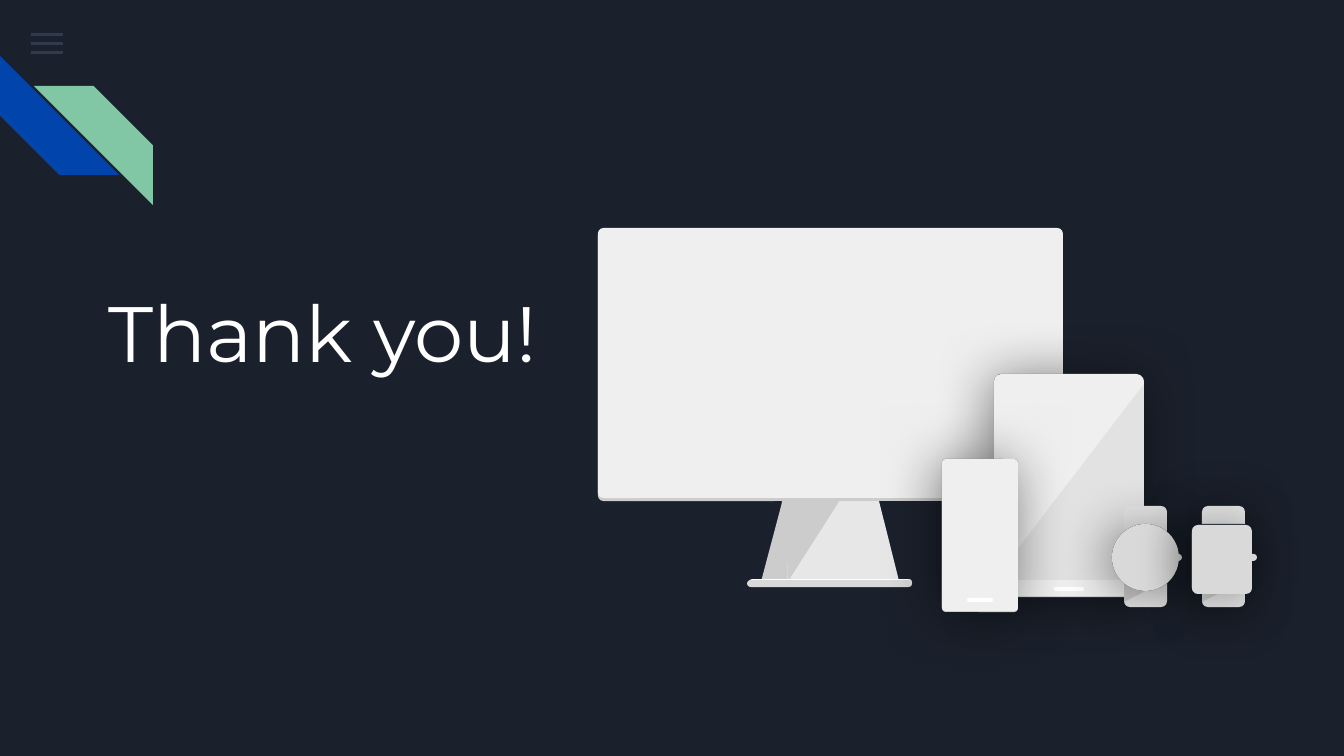
import lxml.etree
import pptx
import pptx.dml.color
import pptx.enum.shapes
import pptx.enum.text
import pptx.oxml.ns
import pptx.util

RGB = pptx.dml.color.RGBColor
SHAPE = pptx.enum.shapes.MSO_SHAPE
qn = pptx.oxml.ns.qn

NAVY = RGB(0x1B, 0x21, 0x2C)
SLATE = RGB(0x55, 0x68, 0x8B)
BLUE = RGB(0x01, 0x45, 0xAC)
GREEN = RGB(0x82, 0xC7, 0xA5)
WHITE = RGB(0xFF, 0xFF, 0xFF)
BLACK = RGB(0x00, 0x00, 0x00)
SCREEN = RGB(0xEF, 0xEF, 0xEF)
LIGHT = RGB(0xE7, 0xE7, 0xE7)
SILVER = RGB(0xD9, 0xD9, 0xD9)
EDGE = RGB(0xCC, 0xCC, 0xCC)
GRAY = RGB(0x99, 0x99, 0x99)

FONT = "Montserrat"
PX_PER_INCH = 134.4


def px(n):
    return round(n * 914400 / PX_PER_INCH)


def add_run(p, text, size=18, color=WHITE, font=FONT):
    r = p.add_run()
    r.text = text
    r.font.size = pptx.util.Pt(size)
    r.font.name = font
    r.font.color.rgb = color
    return r


class Canvas:
    def __init__(self, slide):
        self.slide = slide
        slide.background.fill.solid()
        slide.background.fill.fore_color.rgb = NAVY

    def shape(self, kind, x, y, w, h, color, adj=(), rot=0, flip=False, alpha=None, shadow=False):
        sp = self.slide.shapes.add_shape(kind, px(x), px(y), px(w), px(h))
        for i, value in enumerate(adj):
            sp.adjustments[i] = value
        sp.rotation = rot
        sp.fill.solid()
        sp.fill.fore_color.rgb = color
        sp.line.fill.background()
        sp.shadow.inherit = False
        props = sp._element.spPr
        if flip:
            props.find(qn("a:xfrm")).set("flipH", "1")
        if alpha is not None:
            self.set_alpha(props.find(".//" + qn("a:srgbClr")), alpha)
        if shadow:
            self.soft_shadow(props.find(qn("a:effectLst")))
        return sp

    def set_alpha(self, color, percent):
        lxml.etree.SubElement(color, qn("a:alpha"), val=str(percent * 1000))

    def soft_shadow(self, effects):
        outer = lxml.etree.SubElement(
            effects, qn("a:outerShdw"), blurRad=str(pptx.util.Pt(30.5)),
            dist=str(pptx.util.Pt(3)), dir=str(135 * 60000), algn="bl", rotWithShape="0")
        self.set_alpha(lxml.etree.SubElement(outer, qn("a:srgbClr"), val=str(BLACK)), 50)

    def rounded(self, x, y, w, h, color, radius=0.5, **fmt):
        return self.shape(SHAPE.ROUNDED_RECTANGLE, x, y, w, h, color, (radius,), **fmt)

    def title(self, x, y, w, h, text, **fmt):
        tf = self.slide.shapes.add_textbox(px(x), px(y), px(w), px(h)).text_frame
        tf.word_wrap = True
        tf.vertical_anchor = pptx.enum.text.MSO_ANCHOR.TOP
        tf.margin_left = tf.margin_right = tf.margin_top = tf.margin_bottom = pptx.util.Inches(0.1)
        add_run(tf.paragraphs[0], text, **fmt)

    def menu_icon(self, x, y):
        for i in range(3):
            self.shape(SHAPE.RECTANGLE, x, y + 9 * i, 32, 3, SLATE, alpha=36)

    def stripes(self):
        self.shape(SHAPE.DIAGONAL_STRIPE, 0, 56, 119, 119, BLUE, (0.5,), rot=270)
        self.shape(SHAPE.DIAGONAL_STRIPE, 34, 86, 119, 119, GREEN, (0.5,), flip=True)

    def monitor(self):
        self.shape(SHAPE.TRAPEZOID, 773, 492, 126, 89, LIGHT, (0.25,))
        self.shape(SHAPE.ISOSCELES_TRIANGLE, 786, 500, 54, 82, EDGE, (0.97,), rot=180)
        self.shape(SHAPE.ISOSCELES_TRIANGLE, 761, 500, 22, 82, EDGE, (0.99,))
        self.rounded(749, 579, 163, 7, WHITE, rot=180)
        self.rounded(747, 580, 165, 7, SILVER, rot=180)
        self.shape(SHAPE.RECTANGLE, 782, 500, 5, 79, EDGE)
        for y, color in ((231, EDGE), (228, SCREEN)):
            self.rounded(598, y, 465, 270, color, 0.02)

    def handheld(self, x, y, w, h, button_w, button_y):
        self.rounded(x, y, w, h, NAVY, 0.05, shadow=True)
        shift = (h - w) / 2
        for dy, color in ((1, EDGE), (0, SCREEN)):
            self.rounded(x - shift, y + shift + dy, h, w, color, 0.05, rot=270)
        self.rounded(x + (w - button_w) / 2, button_y, button_w, 4, WHITE)

    def strap(self, x, y):
        cap = SHAPE.ROUND_2_SAME_RECTANGLE
        self.shape(cap, x, y + 67, 43, 34, LIGHT, (0.17, 0), rot=180)
        self.shape(SHAPE.ISOSCELES_TRIANGLE, x + 4, y + 73, 19, 27, EDGE, (0.27,), rot=90)
        self.shape(cap, x, y, 43, 34, LIGHT, (0.17, 0))

    def crown(self, x):
        self.shape(SHAPE.FLOWCHART_DELAY, x, 554, 7, 7, SILVER)

    def round_watch(self):
        self.strap(1124, 506)
        for color, shadow in ((NAVY, True), (SILVER, False)):
            self.shape(SHAPE.OVAL, 1112, 524, 67, 67, color, shadow=shadow)
        self.crown(1175)

    def square_watch(self):
        self.rounded(1202, 506, 43, 102, NAVY, 0.15, shadow=True)
        self.strap(1202, 506)
        self.rounded(1193, 524, 58, 66, NAVY, 0.12, shadow=True)
        self.rounded(1192, 527, 60, 67, GRAY, 0.1)
        self.crown(1250)
        self.rounded(1192, 525, 60, 69, SILVER, 0.1)


def main():
    prs = pptx.Presentation()
    prs.slide_width, prs.slide_height = px(1344), px(756)
    c = Canvas(prs.slides.add_slide(prs.slide_layouts[6]))
    c.menu_icon(31, 33)
    c.stripes()
    c.title(95, 271, 465, 102, "Thank you!", size=42)
    c.monitor()
    c.handheld(994, 374, 150, 222, button_w=30, button_y=587)
    c.shape(SHAPE.RIGHT_TRIANGLE, 994, 384, 150, 196, BLACK, flip=True, alpha=5)
    c.handheld(942, 459, 76, 152, button_w=26, button_y=598)
    c.round_watch()
    c.square_watch()
    prs.save("out.pptx")


if __name__ == "__main__":
    main()
